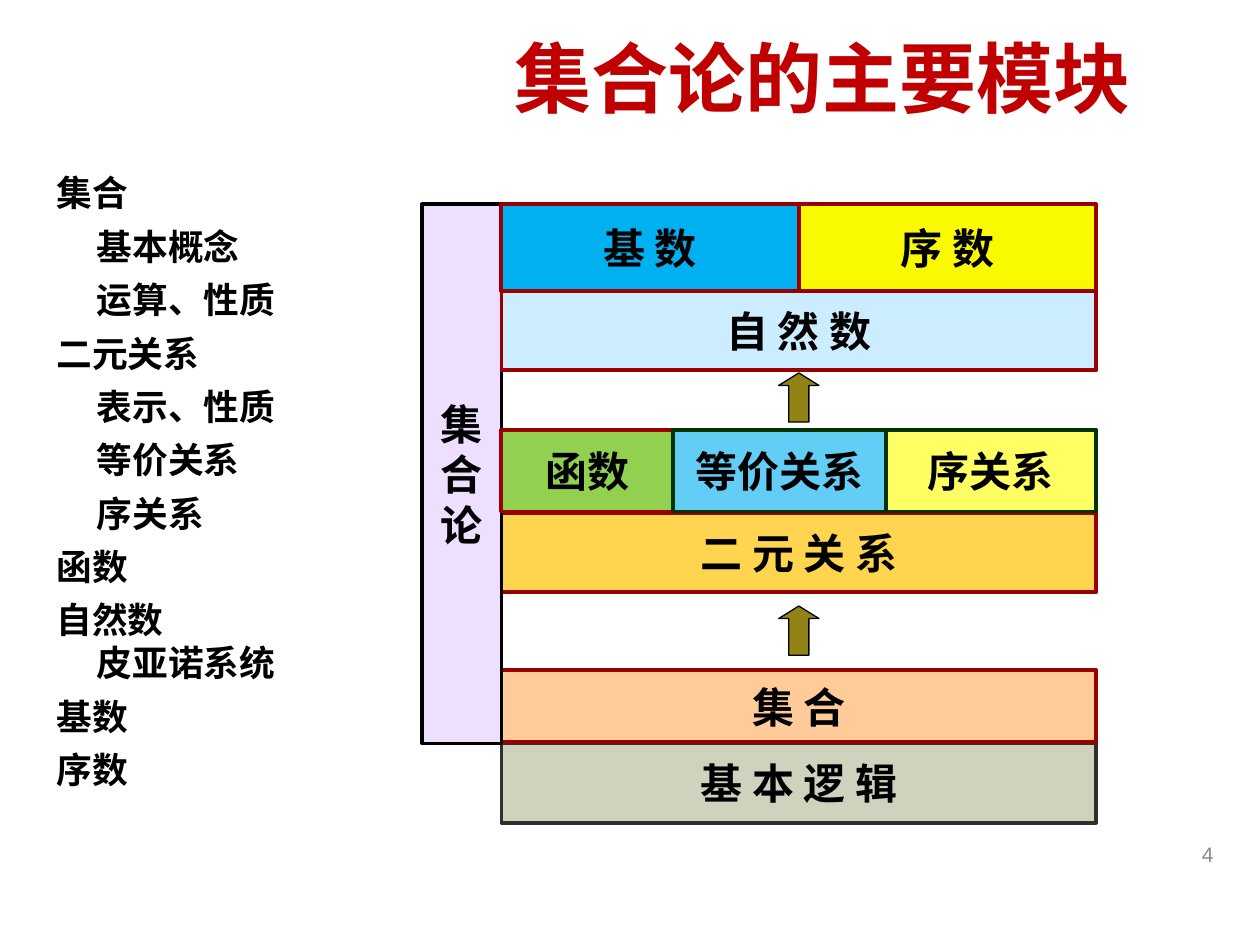
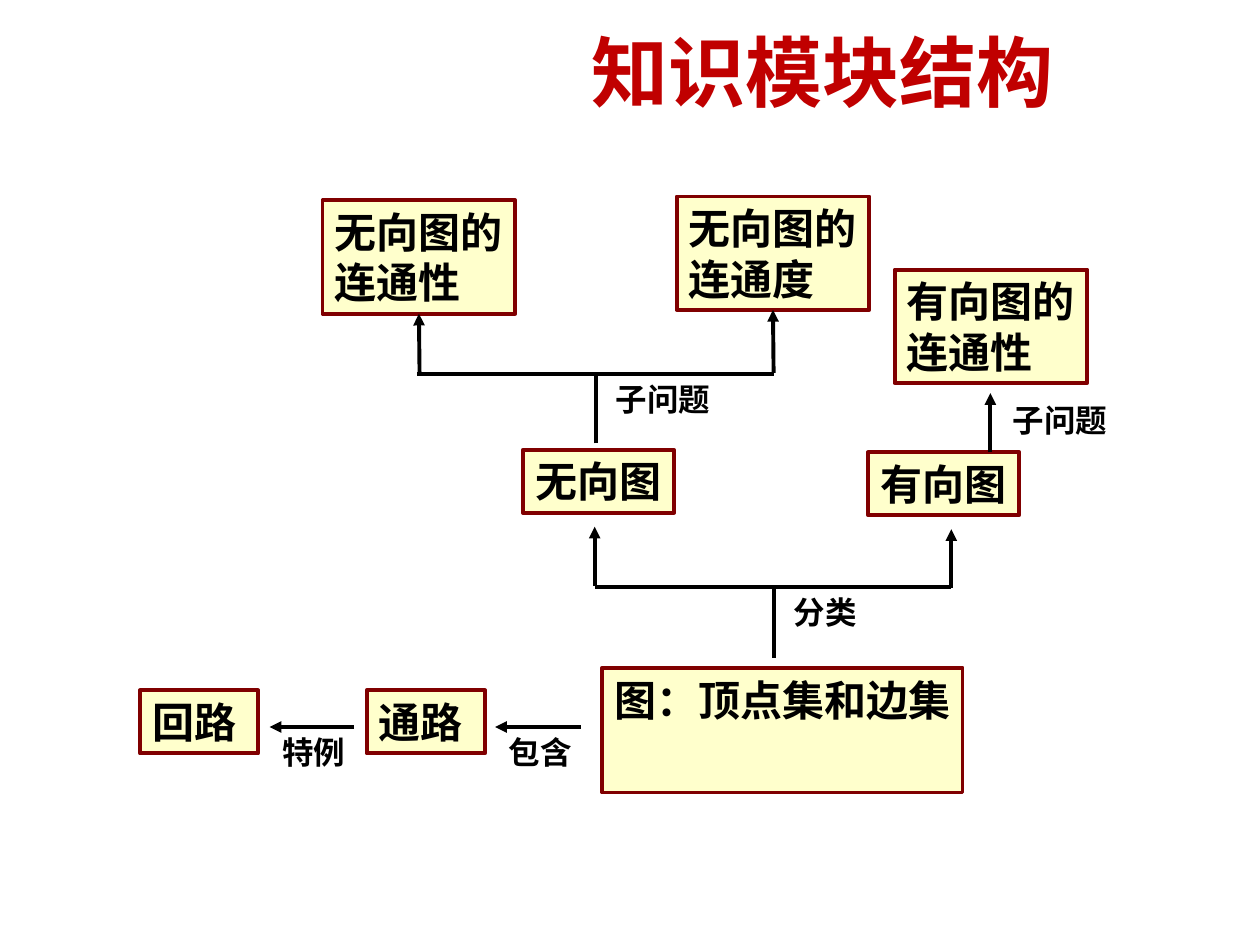
import pptx
import pptx.dml.color
import pptx.enum.shapes
import pptx.enum.text
import pptx.oxml
import pptx.oxml.ns
import pptx.util

Inches = pptx.util.Inches
Pt = pptx.util.Pt
Shape = pptx.enum.shapes.MSO_SHAPE
Align = pptx.enum.text.PP_ALIGN
Anchor = pptx.enum.text.MSO_ANCHOR
qn = pptx.oxml.ns.qn

BLACK = "000000"
TITLE_RED = "C00000"
GREY = "898989"
DARK_RED = "990000"
DARK_GREEN = "003300"
MAROON = "800000"
CREAM = "FFFFCC"
OLIVE = "918415"


def rgb(color):
    return pptx.dml.color.RGBColor.from_string(color)


def sub_element(parent, tag, **attributes):
    child = parent.makeelement(qn(tag), attributes)
    parent.append(child)
    return child


def write(tf, text, size=24, color=BLACK, font="Arial", bold=True,
          align=Align.LEFT, anchor=Anchor.TOP, wrap=False):
    """Fill a text frame, one paragraph for each line of the text."""
    tf.word_wrap = wrap
    tf.vertical_anchor = anchor
    for i, line in enumerate(text.split("\n")):
        p = tf.paragraphs[0] if i == 0 else tf.add_paragraph()
        p.alignment = align
        r = p.add_run()
        r.text = line
        r.font.size = Pt(size)
        r.font.name = font
        r.font.bold = bold
        r.font.color.rgb = rgb(color)


class Deck:
    """The presentation, its style and the slide being drawn."""

    def __init__(self):
        self.prs = pptx.Presentation()
        self.prs.slide_width = Inches(10)
        self.prs.slide_height = Inches(7.5)
        self.s = None

    def slide(self, title, title_height):
        self.s = self.prs.slides.add_slide(self.prs.slide_layouts[6])
        self.text(3.53, 0.13, 6, title_height, title, size=44, font="Calibri",
                  color=TITLE_RED, align=Align.CENTER, anchor=Anchor.MIDDLE)

    def text(self, x, y, w, h, text, **style):
        sp = self.s.shapes.add_textbox(Inches(x), Inches(y), Inches(w), Inches(h))
        write(sp.text_frame, text, **style)
        return sp

    def label(self, x, y, text):
        self.text(x, y, 0.2 + 0.25 * len(text), 0.4, text, size=18)

    def shape(self, kind, x, y, w, h, fill, line, line_width=2.25, alpha=100):
        """Draw a preset shape; alpha is the opacity of its fill in percent."""
        sp = self.s.shapes.add_shape(kind, Inches(x), Inches(y), Inches(w), Inches(h))
        sp.shadow.inherit = False
        sp.fill.solid()
        sp.fill.fore_color.rgb = rgb(fill)
        if alpha < 100:
            color = sp.fill._xPr.find(qn("a:solidFill"))[0]
            sub_element(color, "a:alpha", val=str(alpha * 1000))
        sp.line.color.rgb = rgb(line)
        sp.line.width = Pt(line_width)
        return sp

    def block(self, x, y, w, h, text, fill, line=DARK_RED, **look):
        sp = self.shape(Shape.RECTANGLE, x, y, w, h, fill, line, **look)
        write(sp.text_frame, text, align=Align.CENTER, anchor=Anchor.MIDDLE)

    def row(self, x, y, h, cells):
        """Set blocks side by side from x; a cell is (width, text, fill, line, alpha)."""
        for w, text, fill, line, alpha in cells:
            self.block(x, y, w, h, text, fill, line, alpha=alpha)
            x += w

    def up_arrow(self, x, y):
        sp = self.shape(Shape.UP_ARROW, x, y, 0.32, 0.39, OLIVE, BLACK, 0.75)
        sp.adjustments[0] = 0.5
        sp.adjustments[1] = 0.31

    def node(self, x, y, w, h, text, wrap=False):
        sp = self.shape(Shape.RECTANGLE, x, y, w, h, CREAM, MAROON)
        write(sp.text_frame, text, wrap=wrap)
        return sp

    def line(self, x1, y1, x2, y2, arrow=False, target=None):
        """Draw a line, joined to the bottom of the target if one is given."""
        c = self.s.shapes.add_connector(
            pptx.enum.shapes.MSO_CONNECTOR.STRAIGHT,
            Inches(x1), Inches(y1), Inches(x2), Inches(y2))
        if target is not None:
            c.end_connect(target, 2)
        c.line.color.rgb = rgb(BLACK)
        c.line.width = Pt(2.25)
        if arrow:
            sub_element(c.line._get_or_add_ln(), "a:tailEnd", type="triangle")
        sub_element(c._element.spPr, "a:effectLst")

    def outline(self, x, y, w, h, items):
        """List items as (level, text); level 1 is indented."""
        sp = self.text(x, y, w, h, "\n".join(text for _, text in items),
                       size=20.4, font="Calibri", wrap=True)
        for p, (level, text) in zip(sp.text_frame.paragraphs, items):
            p.space_before = Pt(0 if text == "皮亚诺系统" else 6)
            if level:
                p._p.get_or_add_pPr().set("marL", str(Inches(0.32)))


def set_theory_slide(deck):
    deck.slide("集合论的主要模块", 0.95)
    deck.text(7.4, 6.58, 2.33, 0.4, "4", size=12, color=GREY, bold=False,
              align=Align.RIGHT, anchor=Anchor.MIDDLE, wrap=True)
    deck.outline(0.35, 1.31, 2.99, 5.75, [
        (0, "集合"), (1, "基本概念"), (1, "运算、性质"),
        (0, "二元关系"), (1, "表示、性质"), (1, "等价关系"), (1, "序关系"),
        (0, "函数"), (0, "自然数"), (1, "皮亚诺系统"),
        (0, "基数"), (0, "序数"),
    ])

    left, width = 3.98, 4.72
    deck.block(left, 5.9, width, 0.63, "基 本 逻 辑", "CFD3BD", "2F2F2F")
    deck.block(left, 5.32, width, 0.57, "集 合", "FFCC99")
    deck.block(left, 4.07, width, 0.63, "二 元 关 系", "FFD54F")
    deck.block(3.35, 1.62, 0.63, 4.28, "集\n合\n论", "CC99FF", BLACK,
               line_width=2, alpha=32)
    deck.row(left, 3.41, 0.65, [
        (1.36, "函数", "92D050", DARK_RED, 100),
        (1.69, "等价关系", "00B0F0", DARK_GREEN, 61),
        (1.67, "序关系", "FFFF00", DARK_GREEN, 61),
    ])
    deck.block(left, 2.31, width, 0.63, "自 然 数", "CCECFF")
    deck.row(left, 1.62, 0.69, [
        (width / 2, "基 数", "00B0F0", DARK_RED, 100),
        (width / 2, "序 数", "F9F900", DARK_RED, 100),
    ])
    for y in (4.81, 2.96):
        deck.up_arrow(6.18, y)


def graph_slide(deck):
    deck.slide("知识模块结构", 0.87)
    deck.node(4.78, 5.3, 2.86, 0.99, "图：顶点集和边集")
    deck.node(2.91, 5.48, 0.94, 0.5, "通路", wrap=True)
    deck.node(1.11, 5.48, 0.94, 0.5, "回路", wrap=True)
    deck.node(4.15, 3.57, 1.2, 0.5, "无向图")
    deck.node(6.89, 3.59, 1.2, 0.5, "有向图")
    connectivity = deck.node(2.56, 1.59, 1.53, 0.9, "无向图的\n连通性")
    degree = deck.node(5.37, 1.56, 1.53, 0.9, "无向图的\n连通度")
    deck.node(7.1, 2.14, 1.53, 0.9, "有向图的\n连通性")

    for x, y, text in [(3.94, 5.77, "包含"), (2.14, 5.77, "特例"),
                       (6.2, 4.66, "分类"), (4.79, 2.97, "子问题"),
                       (7.94, 3.13, "子问题")]:
        deck.label(x, y, text)

    # Stem and bar of each fork
    for stem, bottom, bar, left, right in [(6.14, 5.22, 4.66, 4.72, 7.55),
                                           (4.73, 3.52, 2.97, 3.31, 6.14)]:
        deck.line(stem, bottom, stem, bar)
        deck.line(left, bar, right, bar)

    for x, bottom, top, target in [(4.72, 4.65, 4.18, None),
                                   (7.55, 4.67, 4.2, None),
                                   (7.86, 3.59, 3.12, None),
                                   (3.33, 2.97, 2.5, connectivity),
                                   (6.14, 2.96, 2.48, degree)]:
        deck.line(x, bottom, x, top, arrow=True, target=target)
    for start, end in [(4.61, 3.93), (2.81, 2.14)]:
        deck.line(start, 5.77, end, 5.77, arrow=True)


def main():
    deck = Deck()
    set_theory_slide(deck)
    graph_slide(deck)
    deck.prs.save("out.pptx")


if __name__ == "__main__":
    main()
